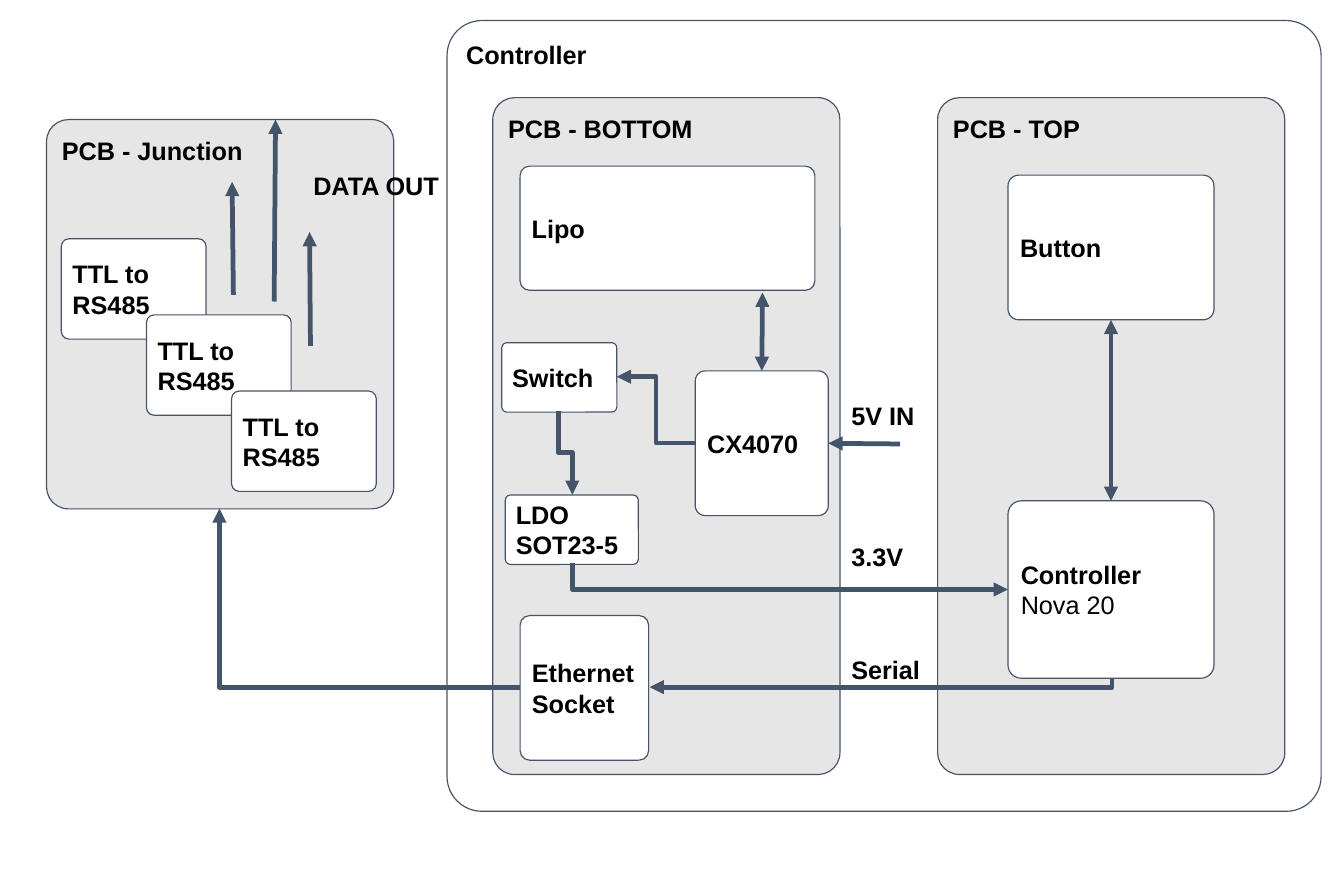
from lxml.etree import SubElement
from pptx import Presentation
from pptx.dml.color import RGBColor
from pptx.enum.shapes import MSO_CONNECTOR as LINK, MSO_SHAPE as SHAPE
from pptx.enum.text import MSO_ANCHOR as ANCHOR, PP_ALIGN as ALIGN
from pptx.oxml.ns import qn
from pptx.util import Cm, Pt

INK = "44546A"
color = RGBColor.from_string

deck = Presentation()
deck.slide_width, deck.slide_height = Cm(30), Cm(20)
slide = deck.slides.add_slide(deck.slide_layouts[6])


def add_block(text, x, y, w, h, fill=None, outline=INK, radius=0.075, anchor=ANCHOR.MIDDLE):
    block = slide.shapes.add_shape(SHAPE.ROUNDED_RECTANGLE, Cm(x), Cm(y), Cm(w), Cm(h))
    block.adjustments[0] = radius
    block.shadow.inherit = False
    if fill:
        block.fill.solid()
        block.fill.fore_color.rgb = color(fill)
    else:
        block.fill.background()
    if outline:
        block.line.color.rgb = color(outline)
        block.line.width = Pt(0.75)
    else:
        block.line.fill.background()
    frame = block.text_frame
    frame.word_wrap = True
    frame.vertical_anchor = anchor
    frame.margin_left = frame.margin_right = Cm(0.2)
    frame.margin_top = frame.margin_bottom = Cm(0.2)
    frame.text = text
    for paragraph in frame.paragraphs:
        paragraph.alignment = ALIGN.LEFT
        for run in paragraph.runs:
            run.font.name = "Arial"
            run.font.size = Pt(16)
            run.font.bold = True
            run.font.color.rgb = color("000000")
    return block


def add_arrow(kind, x1, y1, x2, y2, ends, preset=None):
    arrow = slide.shapes.add_connector(kind, Cm(x1), Cm(y1), Cm(x2), Cm(y2))
    arrow.line.color.rgb = color(INK)
    arrow.line.width = Pt(3)
    for end in ends:
        SubElement(arrow.line._ln, qn(f"a:{end}End")).set("type", "triangle")
    properties = arrow._element.spPr
    SubElement(properties, qn("a:effectLst"))
    if preset:
        properties.find(qn("a:prstGeom")).set("prst", preset)
    return arrow


add_block("Controller", 9.98, 0.46, 19.51, 17.65, radius=0.044, anchor=ANCHOR.TOP)
for title, x, y, height in [
    ("PCB - TOP", 20.93, 2.18, 15.11),
    ("PCB - BOTTOM", 11, 2.18, 15.11),
    ("PCB - Junction", 1.04, 2.67, 8.69),
]:
    add_block(title, x, y, 7.75, height, "E7E6E6", radius=0.063, anchor=ANCHOR.TOP)

for step in range(3):
    add_block("TTL to RS485", 1.37 + 1.9 * step, 5.33 + 1.7 * step, 3.23, 2.24, "FFFFFF")

parts = {}
for name, x, y, w, h in [
    ("Controller\nNova 20", 22.5, 11.18, 4.6, 3.96),
    ("Button", 22.5, 3.91, 4.6, 3.23),
    ("Lipo", 11.61, 3.71, 6.58, 2.77),
    ("Switch", 11.2, 7.65, 2.57, 1.55),
    ("CX4070", 15.52, 8.28, 2.97, 3.23),
    ("LDO\nSOT23-5", 11.28, 11.05, 2.97, 1.55),
    ("Ethernet Socket", 11.61, 13.74, 2.87, 3.23),
]:
    parts[name] = add_block(name, x, y, w, h, "FFFFFF")
board = parts["Controller\nNova 20"]
board.text_frame.paragraphs[1].runs[0].font.bold = False
charger = parts["CX4070"]

for label, x, y, width in [
    ("DATA OUT", 6.76, 3.56, 3.4),
    ("5V IN", 18.77, 8.69, 2.11),
    ("3.3V", 18.77, 11.84, 2.11),
    ("Serial", 18.77, 14.38, 2.11),
]:
    add_block(label, x, y, width, 1.55, outline=None, anchor=ANCHOR.TOP)

for x1, y1, x2, y2 in [
    (6.15, 2.67, 6.12, 6.73),
    (5.18, 4.06, 5.21, 6.58),
    (6.91, 5.18, 6.93, 7.72),
]:
    add_arrow(LINK.STRAIGHT, x1, y1, x2, y2, ["head"])

button_link = add_arrow(LINK.STRAIGHT, 24.8, 7.14, 24.8, 11.18, ["head", "tail"])
button_link.begin_connect(parts["Button"], 2)
button_link.end_connect(board, 0)
battery_link = add_arrow(LINK.STRAIGHT, 17.02, 6.53, 17, 8.28, ["head", "tail"])
battery_link.end_connect(charger, 0)
power_input = add_arrow(LINK.STRAIGHT, 18.49, 9.89, 20.09, 9.91, ["head"])
power_input.begin_connect(charger, 3)

for x1, y1, x2, y2, end in [
    (11.61, 15.34, 4.9, 11.35, "tail"),
    (14.5, 15.34, 24.82, 15.14, "head"),
    (22.5, 13.16, 12.78, 12.57, "head"),
]:
    add_arrow(LINK.ELBOW, x1, y1, x2, y2, [end], "bentConnector2")
add_arrow(LINK.ELBOW, 15.52, 9.89, 13.77, 8.41, ["tail"])
switch_to_ldo = add_arrow(LINK.ELBOW, 11.68, 10.26, 13.56, 9.95, ["tail"])
switch_to_ldo._element.spPr.find(qn("a:xfrm")).set("rot", str(90 * 60000))

deck.save("out.pptx")
